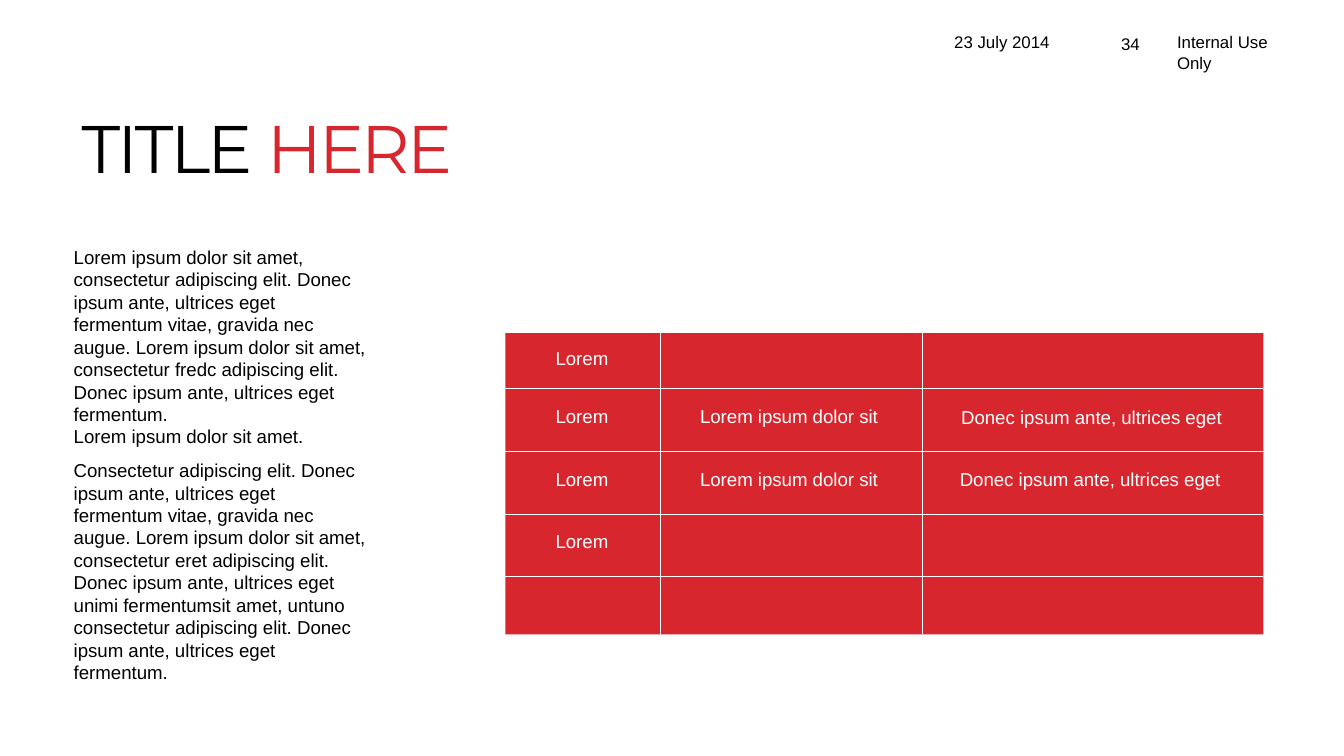
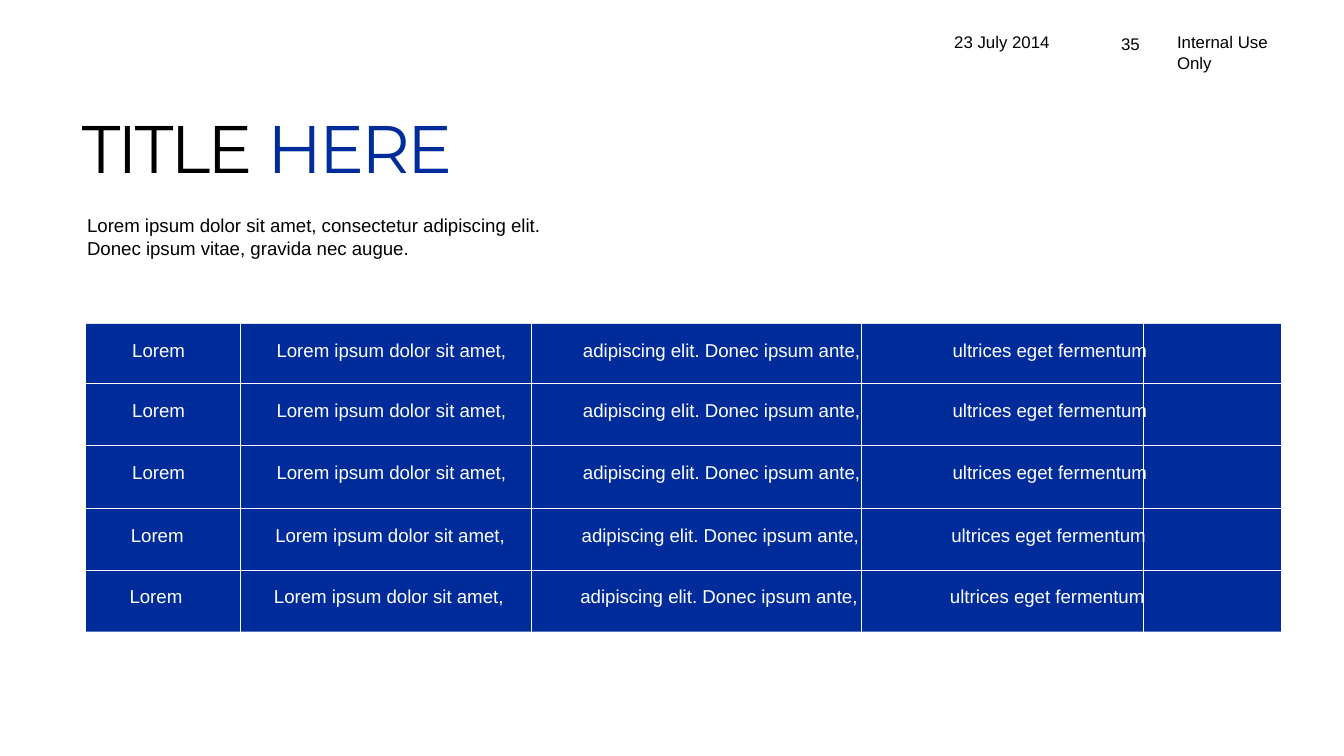
from lxml.etree import SubElement
from pptx import Presentation
from pptx.dml.color import RGBColor
from pptx.enum.shapes import MSO_CONNECTOR as CONNECTOR, MSO_SHAPE as SHAPE
from pptx.enum.text import MSO_ANCHOR as ANCHOR, PP_ALIGN as ALIGN
from pptx.oxml.ns import qn
from pptx.util import Inches, Pt

BLACK, WHITE, RED, BLUE = "000000", "FFFFFF", "D8262E", "002C9B"


def rgb(value):
    return RGBColor.from_string(value)


def add_text(slide, box, paragraphs, color=BLACK, size=10, font="Arial",
             align=ALIGN.LEFT, anchor=ANCHOR.TOP, insets=(0.1, 0.05, 0.1, 0.05), tabs=()):
    """Add a text box; box is left, top, width, height and tabs are stops, all in inches."""
    frame = slide.shapes.add_textbox(*map(Inches, box)).text_frame
    frame.word_wrap = True
    frame.vertical_anchor = anchor
    (frame.margin_left, frame.margin_top,
     frame.margin_right, frame.margin_bottom) = map(Inches, insets)
    for index, text in enumerate(paragraphs):
        paragraph = frame.paragraphs[0] if index == 0 else frame.add_paragraph()
        paragraph.add_run().text = text
        paragraph.alignment = align
        if tabs:
            stops = SubElement(paragraph._p.get_or_add_pPr(), qn("a:tabLst"))
            for stop in tabs:
                SubElement(stops, qn("a:tab"), pos=str(Inches(stop)), algn="l")
        paragraph.font.name = font
        paragraph.font.size = Pt(size)
        paragraph.font.color.rgb = rgb(color)
    return frame


prs = Presentation()
prs.slide_width = Inches(10)
prs.slide_height = prs.slide_width * 9 // 16

# Shared by both slides: header, two-colour title and ruled panel
pages = [
    (34, RED, 6.77, (3.76, 2.48, 5.64, 2.24), (2.89, 3.36, 3.83, 4.29), (4.91, 6.86)),
    (35, BLUE, 9.02, (0.64, 2.41, 8.89, 2.29), (2.85, 3.31, 3.78, 4.24),
     (1.79, 3.95, 6.41, 8.51)),
]
slides = []
for number, accent, title_width, panel_box, row_rules, column_rules in pages:
    slide = prs.slides.add_slide(prs.slide_layouts[6])
    slides.append(slide)
    add_text(slide, (7.98, 0.23, 0.5, 0.19), [str(number)], size=9,
             align=ALIGN.RIGHT, anchor=ANCHOR.MIDDLE, insets=(0, 0, 0, 0))
    add_text(slide, (7.1, 0.19, 1.2, 0.19), ["23 July 2014"], size=9, insets=(0, 0.05, 0, 0))
    add_text(slide, (8.66, 0.19, 1.13, 0.25), ["Internal Use Only"], size=9)

    panel = slide.shapes.add_shape(SHAPE.RECTANGLE, *map(Inches, panel_box))
    panel.shadow.inherit = False
    panel.fill.solid()
    panel.fill.fore_color.rgb = rgb(accent)
    panel.line.fill.background()

    left, top, width, height = panel_box
    rules = [(left, y, left + width, y) for y in row_rules]
    rules += [(x, top + height, x, top) for x in column_rules]
    for ends in rules:
        rule = slide.shapes.add_connector(CONNECTOR.STRAIGHT, *map(Inches, ends))
        rule.line.color.rgb = rgb(WHITE)
        rule.line.width = Pt(0.25)
        SubElement(rule._element.spPr, qn("a:effectLst"))

    title = add_text(slide, (0.51, 0.7, title_width, 0.78), ["TITLE"], size=36,
                     font="Montserrat", anchor=ANCHOR.MIDDLE).paragraphs[0]
    accent_word = title.add_run()
    accent_word.text = " HERE"
    accent_word.font.color.rgb = rgb(accent)
    for run in title.runs:
        run.font._element.set("spc", "-150")

red_slide, blue_slide = slides

# Red slide: text column beside the panel
body = add_text(red_slide, (0.45, 1.78, 2.38, 3.56), [
    "Lorem ipsum dolor sit amet, consectetur adipiscing elit. Donec ipsum ante, "
    "ultrices eget fermentum vitae, gravida nec augue. Lorem ipsum dolor sit amet, "
    "consectetur fredc adipiscing elit. Donec ipsum ante, ultrices eget fermentum.",
    "Lorem ipsum dolor sit amet.",
    "Consectetur adipiscing elit. Donec ipsum ante, ultrices eget fermentum vitae, "
    "gravida nec augue. Lorem ipsum dolor sit amet, consectetur eret adipiscing elit. "
    "Donec ipsum ante, ultrices eget unimi fermentumsit amet, untuno consectetur "
    "adipiscing elit. Donec ipsum ante, ultrices eget fermentum.",
])
body.paragraphs[1].space_after = Pt(6)

for y in (2.53, 2.96, 3.43, 3.89):
    add_text(red_slide, (3.85, y, 0.96, 0.3), ["Lorem"], WHITE, align=ALIGN.CENTER)
for y in (2.96, 3.43):
    add_text(red_slide, (4.96, y, 1.82, 0.41), ["Lorem ipsum dolor sit"],
             WHITE, align=ALIGN.CENTER)
for x, y in ((6.96, 2.97), (6.95, 3.43)):
    add_text(red_slide, (x, y, 2.32, 0.41), ["Donec ipsum ante, ultrices eget"],
             WHITE, align=ALIGN.CENTER)

# Blue slide: introduction above the panel, tabbed text in each row
add_text(blue_slide, (0.55, 1.32, 6.14, 0.88), [
    "Lorem ipsum dolor sit amet, consectetur adipiscing elit.",
    "Donec ipsum vitae, gravida nec augue.",
], anchor=ANCHOR.MIDDLE)

row_text = "\t".join(["Lorem ipsum dolor sit amet,", "adipiscing elit. Donec ipsum ante,",
                      "ultrices eget fermentum"])
for x, y in ((0.66, 2.47), (0.66, 2.92), (0.66, 3.38), (0.65, 3.85), (0.64, 4.3)):
    add_text(blue_slide, (x, y, 1.04, 0.3), ["Lorem"], WHITE, align=ALIGN.CENTER)
    add_text(blue_slide, (x + 1.3, y, 7.16, 0.41), [row_text], WHITE, tabs=(2.28, 5.03))

prs.save("out.pptx")
